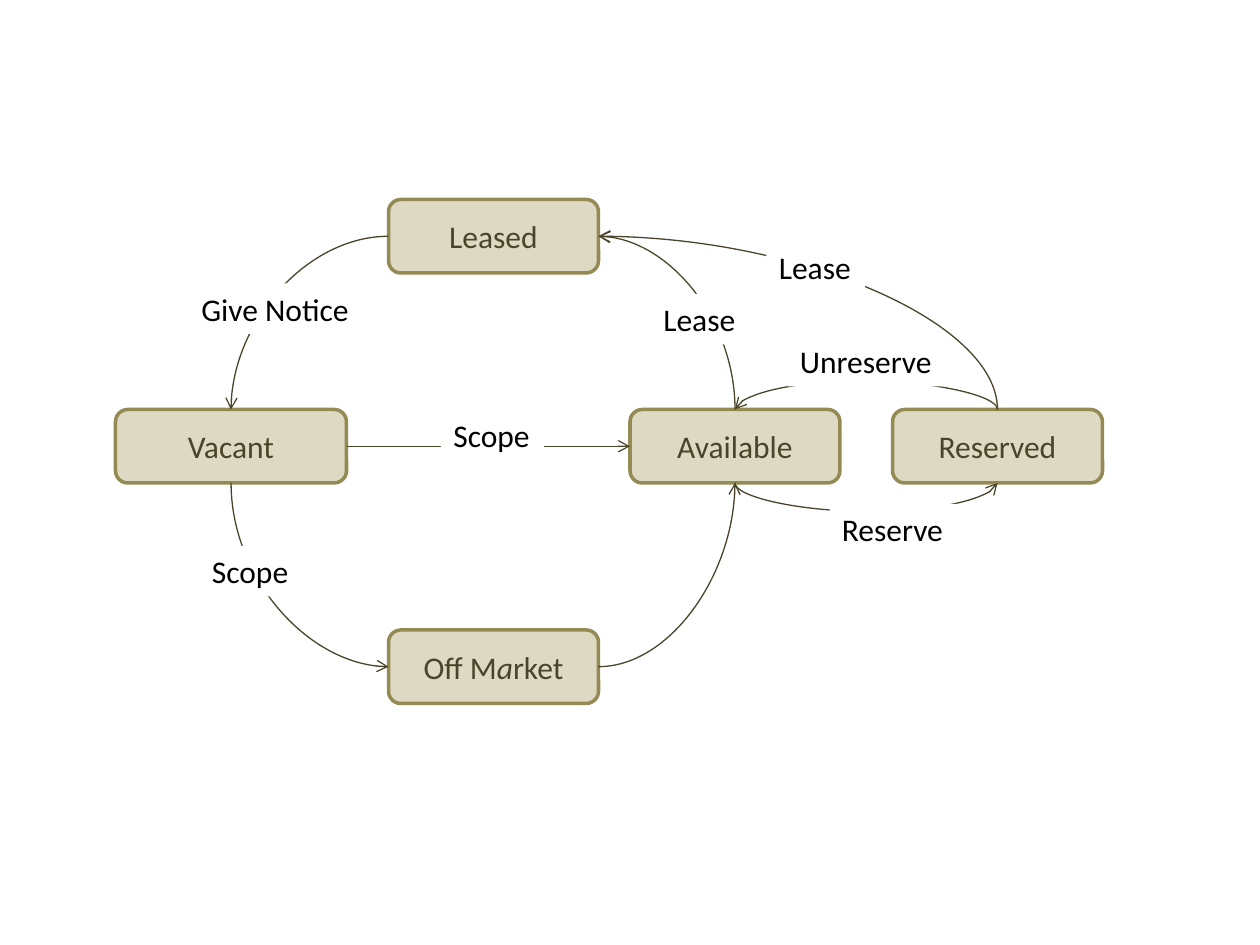
"""Builds a slide with the state diagram of a rental unit."""
import pptx
import pptx.dml.color
import pptx.enum.shapes
import pptx.enum.text
import pptx.oxml
import pptx.oxml.ns
import pptx.util

PX = 7620
FLAT = 1588
SAND = pptx.dml.color.RGBColor(0xDD, 0xD9, 0xC3)
OLIVE = pptx.dml.color.RGBColor(0x94, 0x8A, 0x54)
DARK = pptx.dml.color.RGBColor(0x4A, 0x45, 0x2A)
BLACK = pptx.dml.color.RGBColor(0, 0, 0)
WHITE = pptx.dml.color.RGBColor(0xFF, 0xFF, 0xFF)
TOP, LEFT, BOTTOM, RIGHT = range(4)
STATE_FRAME = {
    "word_wrap": True,
    "vertical_anchor": pptx.enum.text.MSO_ANCHOR.MIDDLE,
}
LABEL_FRAME = {
    "word_wrap": False,
    "auto_size": pptx.enum.text.MSO_AUTO_SIZE.SHAPE_TO_FIT_TEXT,
}
FONT = {"name": "Calibri", "size": pptx.util.Pt(18)}


def px(*lengths):
    return [pptx.util.Emu(length * PX) for length in lengths]


def apply(target, values):
    for name, value in values.items():
        setattr(target, name, value)


def add_xml(parent, tag, **attributes):
    child = pptx.oxml.parse_xml(f"<a:{tag} {pptx.oxml.ns.nsdecls('a')}/>")
    for name, value in attributes.items():
        child.set(name, value)
    parent.append(child)


class StateDiagram:
    def __init__(self, slide):
        self.shapes = slide.shapes

    def put_text(self, shape, parts, frame, color, align):
        apply(shape.text_frame, frame)
        paragraph = shape.text_frame.paragraphs[0]
        paragraph.alignment = align
        for index, part in enumerate(parts):
            run = paragraph.add_run()
            run.text = part
            apply(run.font, FONT)
            run.font.color.rgb = color
            if index % 2:
                run.font.italic = True

    def state(self, parts, left, top, width=200):
        box = self.shapes.add_shape(
            pptx.enum.shapes.MSO_SHAPE.ROUNDED_RECTANGLE, *px(left, top, width, 70))
        box.shadow.inherit = False
        box.fill.solid()
        box.fill.fore_color.rgb = SAND
        box.line.color.rgb = OLIVE
        box.line.width = pptx.util.Pt(2)
        self.put_text(box, parts, STATE_FRAME, DARK, pptx.enum.text.PP_ALIGN.CENTER)
        return box

    def label(self, text, left, top, width):
        tag = self.shapes.add_textbox(*px(left, top, width, 48))
        tag.fill.solid()
        tag.fill.fore_color.rgb = WHITE
        self.put_text(tag, [text], LABEL_FRAME, BLACK, pptx.enum.text.PP_ALIGN.LEFT)

    def transition(self, source, source_side, target, target_side, bulge=0):
        curve = self.shapes.add_connector(
            pptx.enum.shapes.MSO_CONNECTOR.CURVE, 0, 0, 0, 0)
        curve.begin_connect(source, source_side)
        curve.end_connect(target, target_side)
        curve.line.color.rgb = DARK
        curve.line.width = pptx.util.Pt(0.75)
        properties = curve._element.spPr
        add_xml(properties.get_or_add_ln(), "tailEnd", type="arrow")
        add_xml(properties, "effectLst")
        geometry = properties.find(pptx.oxml.ns.qn("a:prstGeom"))
        if bulge:
            ratio = round(abs(bulge) * PX / FLAT * 100000)
            add_xml(geometry.get_or_add_avLst(), "gd", name="adj1", fmla=f"val {ratio}")
        elif source_side % 2 != target_side % 2:
            geometry.set("prst", "curvedConnector2")
        if source_side in (TOP, BOTTOM):
            self.turn(curve, bulge)

    def turn(self, curve, bulge):
        across = curve.end_x - curve.begin_x
        along = curve.begin_y - curve.end_y
        middle_x = (curve.begin_x + curve.end_x) // 2
        middle_y = (curve.begin_y + curve.end_y) // 2
        if bulge:
            along = -FLAT if bulge > 0 else FLAT
        width, height = abs(along), abs(across)
        apply(curve, {"left": middle_x - width // 2, "top": middle_y - height // 2,
                      "width": width, "height": height})
        frame = curve._element.spPr.find(pptx.oxml.ns.qn("a:xfrm"))
        frame.set("rot", str(270 * 60000))
        frame.set("flipH", str(int(along < 0)))
        frame.set("flipV", str(int(across < 0)))


def main():
    deck = pptx.Presentation()
    deck.slide_width, deck.slide_height = px(1200, 900)
    diagram = StateDiagram(deck.slides.add_slide(deck.slide_layouts[6]))

    leased = diagram.state(["Leased"], 370, 190)
    vacant = diagram.state(["Vacant"], 110, 390, 220)
    reserved = diagram.state(["Reserved"], 850, 390)
    available = diagram.state(["Available"], 600, 390)
    off_market = diagram.state(["Off M", "a", "rket"], 370, 600)

    for transition in (
        (available, TOP, leased, RIGHT),
        (leased, LEFT, vacant, TOP),
        (vacant, BOTTOM, off_market, LEFT),
        (off_market, RIGHT, available, BOTTOM),
        (available, BOTTOM, reserved, BOTTOM, 30),
        (reserved, TOP, available, TOP, -30),
        (reserved, TOP, leased, RIGHT),
        (vacant, RIGHT, available, LEFT),
    ):
        diagram.transition(*transition)

    for label in (
        ("Give Notice", 180, 270, 167),
        ("Scope", 190, 520, 98),
        ("Scope", 420, 390, 98),
        ("Reserve", 790, 480, 121),
        ("Unreserve", 750, 320, 151),
        ("Lease", 730, 230, 94),
        ("Lease", 620, 280, 94),
    ):
        diagram.label(*label)

    deck.save("out.pptx")


if __name__ == "__main__":
    main()
